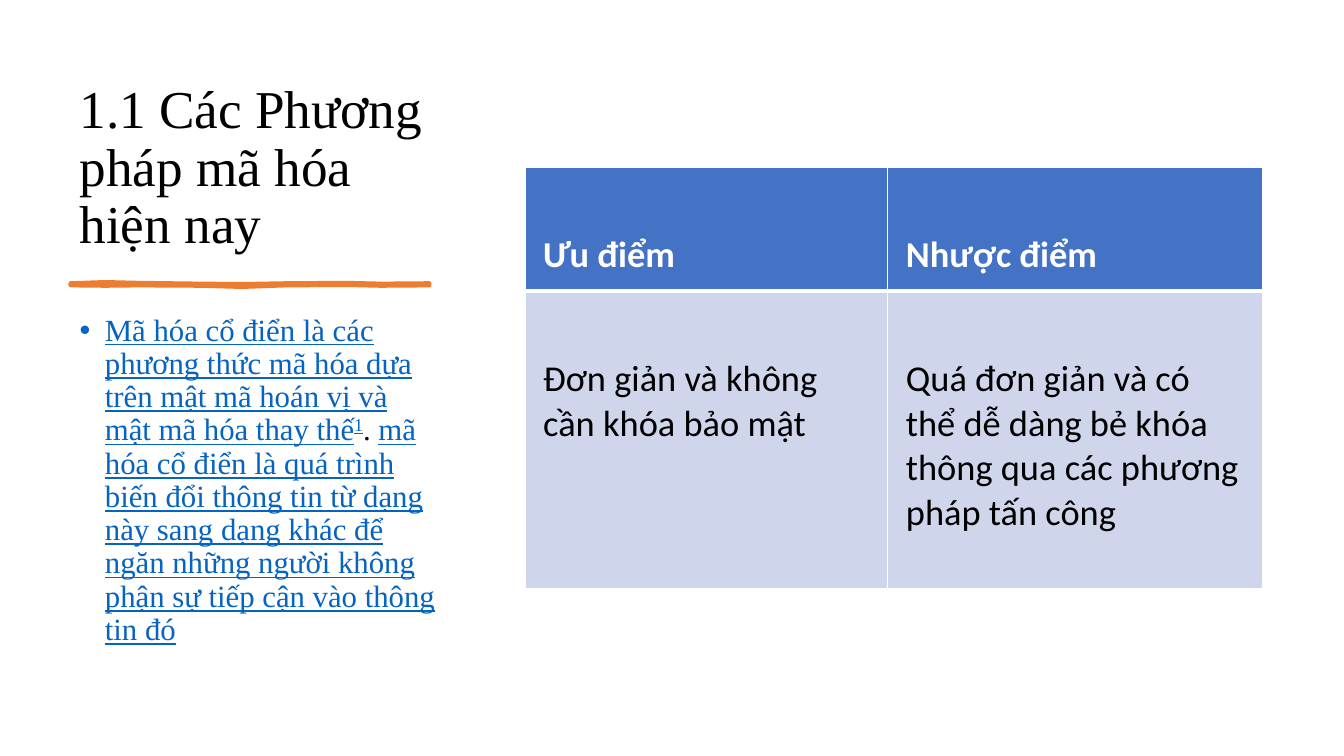
from lxml.etree import SubElement
from pptx import Presentation
from pptx.dml.color import RGBColor
from pptx.enum.text import MSO_ANCHOR, MSO_AUTO_SIZE, PP_ALIGN
from pptx.oxml.ns import qn
from pptx.util import Cm, Pt

TITLE = "1.1 Các Phương pháp mã hóa hiện nay"
# text, is it a link, is it superscript
DEFINITION = [
    ("Mã hóa cổ điển là các phương thức mã hóa dựa trên mật mã hoán vị "
     "và mật mã hóa thay thế", True, False),
    ("1", True, True),
    (". ", False, False),
    ("mã hóa cổ điển là quá trình biến đổi thông tin từ dạng này sang dạng khác "
     "để ngăn những người không phận sự tiếp cận vào thông tin đó", True, False),
]
COMPARISON = [
    ("Ưu điểm", "Nhược điểm"),
    ("Đơn giản và không cần khóa bảo mật",
     "Quá đơn giản và có thể dễ dàng bẻ khóa thông qua các phương pháp tấn công"),
]
COLUMN_WIDTHS = (9.14, 9.45)
ROW_HEIGHTS = (3.12, 7.49)
# x, top and bottom of the brush stroke, in cm
STROKE = [(1.78, 7.14, 7.19), (2.65, 7.11, 7.2), (3.51, 7.13, 7.19),
          (5.05, 7.15, 7.2), (6.1, 7.16, 7.23), (7.21, 7.14, 7.19),
          (8.74, 7.13, 7.18), (9.6, 7.15, 7.2), (10.82, 7.14, 7.19)]
SERIF, SANS = "Times New Roman", "Calibri"
ORANGE, LINK, BLACK, WHITE = "ED7D31", "0563C1", "000000", "FFFFFF"
HEADER_FILL, BODY_FILL = "4472C4", "CFD5EA"


def rgb(color):
    return RGBColor.from_string(color)


def place(shape, left, top, width, height):
    shape.left, shape.top = Cm(left), Cm(top)
    shape.width, shape.height = Cm(width), Cm(height)


def set_font(font, name, size, color, bold=False):
    font.name, font.size, font.bold = name, Pt(size), bold
    font.color.rgb = rgb(color)


def prepare(placeholder, anchor, size):
    """Format the frame and return its only paragraph."""
    frame = placeholder.text_frame
    frame.word_wrap, frame.auto_size = True, MSO_AUTO_SIZE.NONE
    frame.vertical_anchor = anchor
    paragraph = frame.paragraphs[0]
    paragraph.alignment, paragraph.line_spacing = PP_ALIGN.LEFT, 0.9
    set_font(paragraph.font, SERIF, size, BLACK)
    return paragraph


def add_borders(cell, bottom_width):
    properties = cell._tc.get_or_add_tcPr()
    for side, width in (("L", 1), ("R", 1), ("T", 1), ("B", bottom_width)):
        line = SubElement(properties, qn(f"a:ln{side}"), w=str(Pt(width)))
        fill = SubElement(line, qn("a:solidFill"))
        SubElement(fill, qn("a:srgbClr"), val=WHITE)


def add_title(slide):
    title = slide.shapes.title
    place(title, 1.75, 1.78, 9.53, 4.78)
    prepare(title, MSO_ANCHOR.BOTTOM, 38).add_run().text = TITLE


def add_stroke(slide):
    top_edge = [(Cm(x), Cm(top)) for x, top, _ in STROKE]
    bottom_edge = [(Cm(x), Cm(bottom)) for x, _, bottom in reversed(STROKE)]
    builder = slide.shapes.build_freeform(*top_edge[0], scale=1.0)
    builder.add_line_segments(top_edge[1:] + bottom_edge, close=True)
    stroke = builder.convert_to_shape()
    stroke.shadow.inherit = False
    stroke.fill.solid()
    stroke.fill.fore_color.rgb = rgb(ORANGE)
    stroke.line.color.rgb = rgb(ORANGE)
    stroke.line.width = Pt(3)
    SubElement(stroke.line._get_or_add_ln(), qn("a:round"))


def add_definition(slide):
    definition = slide.placeholders[1]
    place(definition, 1.75, 7.8, 9.53, 9.47)
    paragraph = prepare(definition, MSO_ANCHOR.TOP, 22)
    paragraph.space_before = Pt(10)
    properties = paragraph._p.get_or_add_pPr()
    properties.set("marL", str(Cm(0.64)))
    properties.set("indent", str(-Cm(0.64)))
    for text, is_link, is_superscript in DEFINITION:
        run = paragraph.add_run()
        run.text = text
        run.font.underline = is_link
        run.font.color.rgb = rgb(LINK if is_link else BLACK)
        if is_superscript:
            run._r.get_or_add_rPr().set("baseline", "30000")


def add_comparison(slide):
    table = slide.shapes.add_table(
        len(ROW_HEIGHTS), len(COLUMN_WIDTHS), Cm(13.23), Cm(4.22),
        Cm(sum(COLUMN_WIDTHS)), Cm(sum(ROW_HEIGHTS))).table
    table.horz_banding = False
    for column, width in zip(table.columns, COLUMN_WIDTHS):
        column.width = Cm(width)
    for r, (row, height) in enumerate(zip(table.rows, ROW_HEIGHTS)):
        row.height = Cm(height)
        is_header = r == 0
        for cell, text in zip(row.cells, COMPARISON[r]):
            add_borders(cell, 3 if is_header else 1)
            cell.fill.solid()
            cell.fill.fore_color.rgb = rgb(HEADER_FILL if is_header else BODY_FILL)
            cell.margin_left = cell.margin_right = Cm(0.46)
            cell.margin_top, cell.margin_bottom = Cm(1.65), Cm(0.23)
            cell.text = text
            set_font(cell.text_frame.paragraphs[0].font, SANS, 26,
                     WHITE if is_header else BLACK, is_header)


def main():
    deck = Presentation()
    deck.slide_width, deck.slide_height = Cm(33.87), Cm(19.05)
    slide = deck.slides.add_slide(deck.slide_layouts[1])
    add_title(slide)
    add_stroke(slide)
    add_definition(slide)
    add_comparison(slide)
    deck.save("out.pptx")


if __name__ == "__main__":
    main()
